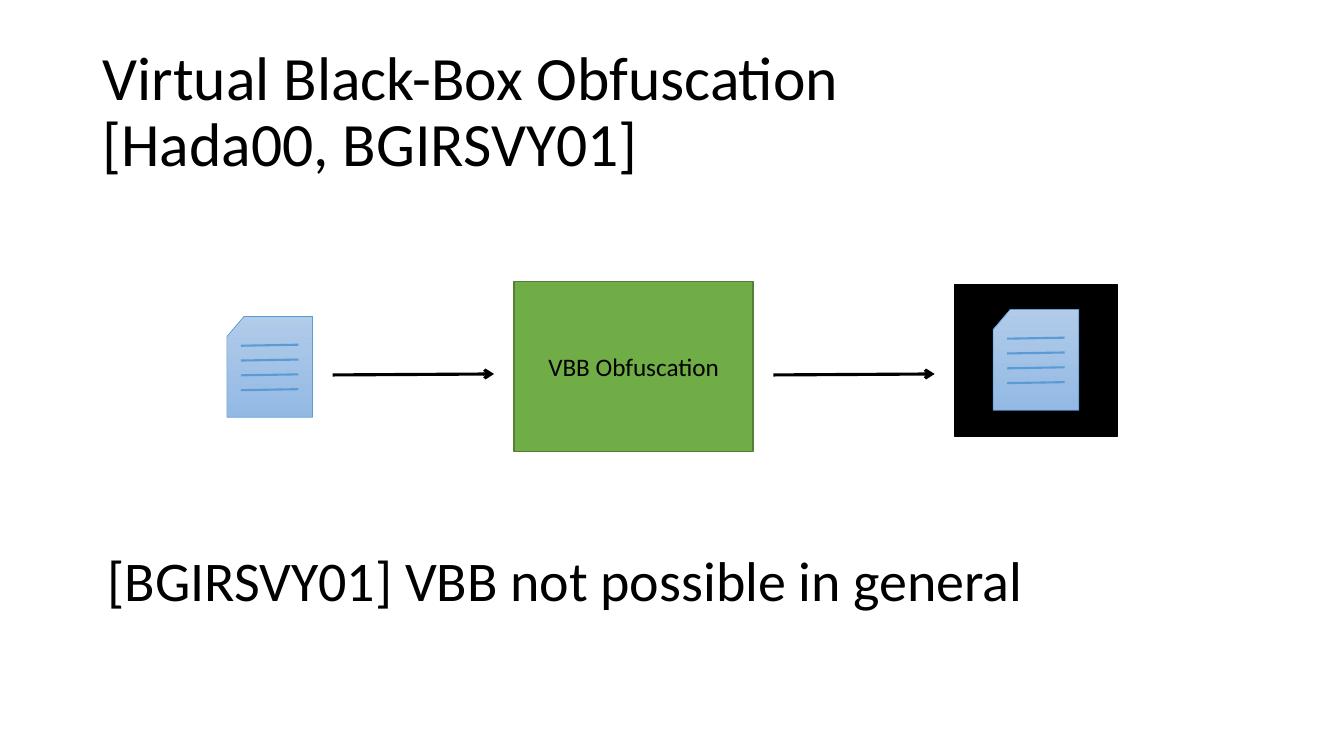
from dataclasses import dataclass

from lxml import etree
from pptx import Presentation
from pptx.dml.color import RGBColor
from pptx.enum.shapes import MSO_CONNECTOR, MSO_SHAPE
from pptx.enum.text import MSO_ANCHOR, PP_ALIGN
from pptx.oxml.ns import qn
from pptx.util import Inches, Pt

RECT = MSO_SHAPE.RECTANGLE
CARD = MSO_SHAPE.FLOWCHART_CARD
STRAIGHT = MSO_CONNECTOR.STRAIGHT
LEFT, CENTER = PP_ALIGN.LEFT, PP_ALIGN.CENTER
TOP, MIDDLE = MSO_ANCHOR.TOP, MSO_ANCHOR.MIDDLE


@dataclass(frozen=True)
class Theme:
    font: str = "Calibri"
    black: str = "000000"
    green: str = "70AD47"
    moss: str = "538035"
    blue: str = "5B9BD5"
    pale: str = "B1CBE9"
    sky: str = "93B9E4"
    title: int = 44
    note: int = 40
    label: int = 18


THEME = Theme()


def rgb(code):
    return RGBColor.from_string(code)


def write(shape, text, *, size, align=LEFT, anchor=TOP, space=None):
    """Fill a shape with one paragraph; a vertical tab breaks the line."""
    frame = shape.text_frame
    frame.word_wrap = True
    frame.vertical_anchor = anchor
    para = frame.paragraphs[0]
    para.text = text
    para.alignment = align
    para.line_spacing = space
    for run in para.runs:
        run.font.name = THEME.font
        run.font.size = Pt(size)
        run.font.color.rgb = rgb(THEME.black)


def add_text(slide, left, top, width, height, text, **style):
    box = slide.shapes.add_textbox(
        Inches(left), Inches(top), Inches(width), Inches(height))
    write(box, text, **style)


def add_box(shapes, kind, left, top, width, height, *, edge, weight=1, fill=None):
    box = shapes.add_shape(
        kind, Inches(left), Inches(top), Inches(width), Inches(height))
    box.shadow.inherit = False
    box.line.color.rgb = rgb(edge)
    box.line.width = Pt(weight)
    if fill:
        box.fill.solid()
        box.fill.fore_color.rgb = rgb(fill)
    return box


def add_line(shapes, left, top, width, *, color, weight, arrow=False):
    """Draw a line that rises very slightly to the right."""
    line = shapes.add_connector(
        STRAIGHT, Inches(left), Inches(top),
        Inches(left + width), Inches(top - 0.01))
    line.line.color.rgb = rgb(color)
    line.line.width = Pt(weight)
    if arrow:
        tail = etree.SubElement(line.line._get_or_add_ln(), qn("a:tailEnd"))
        tail.set("type", "arrow")
    etree.SubElement(line._element.spPr, qn("a:effectLst"))


def add_page(slide, left, top):
    """Draw a program as a page with four lines of writing."""
    group = slide.shapes.add_group_shape()
    card = add_box(group.shapes, CARD, left, top, 0.85, 1,
                   edge=THEME.blue, weight=0.5)
    card.fill.gradient()
    card.fill.gradient_angle = 270
    for stop, color in zip(card.fill.gradient_stops, (THEME.pale, THEME.sky)):
        stop.color.rgb = rgb(color)
    for row in range(4):
        add_line(group.shapes, left + 0.14, top + 0.29 + 0.147 * row, 0.57,
                 color=THEME.blue, weight=1.5)


def main():
    deck = Presentation()
    deck.slide_width, deck.slide_height = Inches(13.33), Inches(7.5)
    slide = deck.slides.add_slide(deck.slide_layouts[6])
    shapes = slide.shapes

    # Title
    add_text(slide, 0.92, 0.4, 11.5, 1.45,
             "Virtual Black-Box Obfuscation\v[Hada00, BGIRSVY01]",
             size=THEME.title, anchor=MIDDLE, space=0.9)

    # Black box and obfuscator
    add_box(shapes, RECT, 9.47, 2.82, 1.61, 1.51,
            edge=THEME.black, fill=THEME.black)
    vbb = add_box(shapes, RECT, 5.1, 2.79, 2.37, 1.69,
                  edge=THEME.moss, fill=THEME.green)
    write(vbb, "VBB Obfuscation", size=THEME.label, align=CENTER, anchor=MIDDLE)

    # Program before and after, with the flow between
    for left, top in ((2.25, 3.14), (9.85, 3.07)):
        add_page(slide, left, top)
    for left in (3.3, 7.67):
        add_line(shapes, left, 3.72, 1.6,
                 color=THEME.black, weight=2.25, arrow=True)

    # Result
    add_text(slide, 0.97, 5.36, 12.09, 0.77,
             "[BGIRSVY01] VBB not possible in general", size=THEME.note)

    deck.save("out.pptx")


if __name__ == "__main__":
    main()
